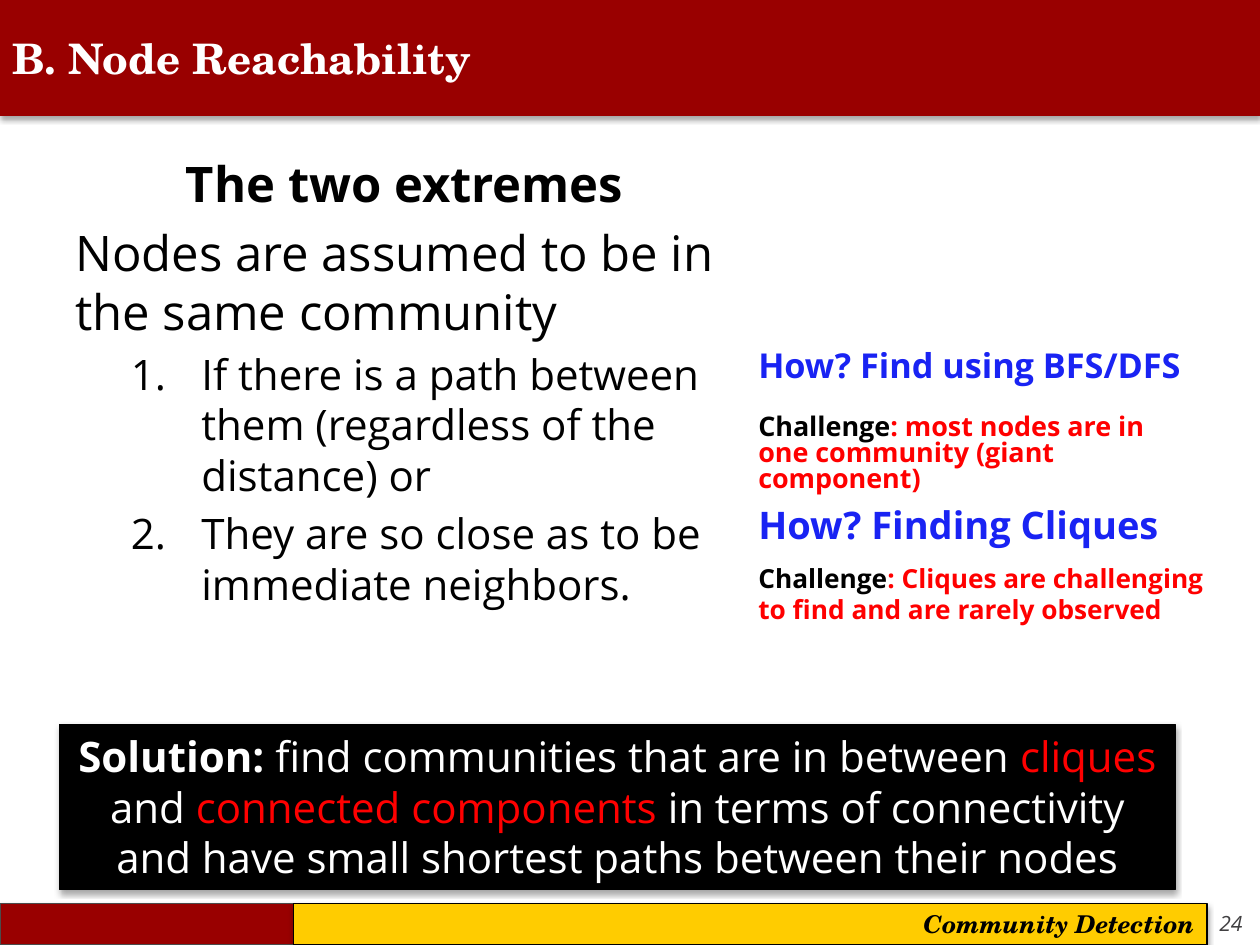
from pptx import Presentation, util as u
from pptx.dml.color import RGBColor
from pptx.enum import shapes, text
from pptx.oxml import parse_xml
from pptx.oxml.ns import nsdecls

PX = 9144  # 100 px to the inch


class Theme:
    sans, serif = "Open Sans", "TeX Gyre Schola"
    black, white, gray = "000000", "FFFFFF", "414042"
    maroon, gold, edge = "990000", "FFCC00", "4B4B4B"
    red, blue = "FF0000", "1923F3"
    head, lead, main, foot, num = 24, 28, 24, 14, 12
    how, clique, note, rare = 19.6, 21.7, 15.4, 15


deck = Presentation()
deck.slide_width, deck.slide_height = 1000 * PX, 750 * PX
slide = deck.slides.add_slide(deck.slide_layouts[6])
mid, right = text.PP_ALIGN.CENTER, text.PP_ALIGN.RIGHT


def write(box, *runs, size, color=Theme.black, bold=False, italic=False,
          face=Theme.sans, align=None, before=None, line=None, number=False):
    """Add a paragraph; each run is (text, changes to the format)."""
    frame = box.text_frame
    frame.word_wrap = True
    para = frame.paragraphs[0]
    if para.runs:
        para = frame.add_paragraph()
    if number:
        props = para._p.get_or_add_pPr()
        props.set("lvl", "1")
        props.set("marL", str(100 * PX))
        props.set("indent", str(-56 * PX))
        props.append(parse_xml(
            f'<a:buFont {nsdecls("a")} typeface="+mj-lt"/>'))
        props.append(parse_xml(
            f'<a:buAutoNum {nsdecls("a")} type="arabicPeriod"/>'))
    para.alignment = align or text.PP_ALIGN.LEFT
    if before:
        para.space_before = u.Pt(before)
    if line:
        para.line_spacing = line
    for words, change in runs:
        run = para.add_run()
        run.text = words
        font = run.font
        font.name, font.size, font.italic = face, u.Pt(size), italic
        font.bold = change.get("bold", bold)
        font.color.rgb = RGBColor.from_string(change.get("color", color))


def bar(x, y, wide, high, fill, edge=None):
    """Draw a filled rectangle with a soft shadow below it."""
    rect = slide.shapes.add_shape(shapes.MSO_SHAPE.RECTANGLE,
                                  x * PX, y * PX, wide * PX, high * PX)
    rect.fill.solid()
    rect.fill.fore_color.rgb = RGBColor.from_string(fill)
    if edge:
        rect.line.color.rgb = RGBColor.from_string(edge)
        rect.line.width = u.Pt(0.75)
    else:
        rect.line.fill.background()
    rect.shadow.inherit = False
    rect._element.spPr.find("{*}effectLst").append(parse_xml(
        f'<a:outerShdw {nsdecls("a")} blurRad="40000" dist="23000" '
        'dir="5400000" rotWithShape="0"><a:srgbClr val="000000">'
        '<a:alpha val="35000"/></a:srgbClr></a:outerShdw>'))
    return rect


# Footer
page = slide.shapes.add_textbox(958 * PX, 718 * PX, 50 * PX, 30 * PX)
write(page, ("24", {}), size=Theme.num, color=Theme.gray, italic=True)
bar(0, 717, 233, 33, Theme.maroon, Theme.edge)
topic = bar(233, 717, 725, 33, Theme.gold, Theme.black)
write(topic, ("Community Detection", {}), size=Theme.foot, bold=True,
      italic=True, face=Theme.serif, align=right)

# Title
title = bar(0, 0, 1000, 92, Theme.maroon)
write(title, ("B. Node Reachability", {}), size=Theme.head,
      color=Theme.white, bold=True, face=Theme.serif)

# The two extremes
body = slide.shapes.add_textbox(50 * PX, 117 * PX, 542 * PX, 450 * PX)
write(body, ("The two extremes", {}), size=Theme.lead, bold=True, align=mid)
write(body, ("Nodes are assumed to be in the same community", {}),
      size=Theme.lead, before=5.6)
for item in ("If there is a path between them (regardless of the distance) or",
             "They are so close as to be immediate neighbors."):
    write(body, (item, {}), size=Theme.main, before=4.8, number=True)

# Methods and their challenges
red = {"color": Theme.red}
blue = {"color": Theme.blue}
notes = (
    (275, 366, Theme.how, 0.8, [("How? Find using BFS/DFS", blue)]),
    (400, 366, Theme.clique, 0.8, [("How? Finding Cliques", blue)]),
    (325, 366, Theme.note, 0.8, [
        ("Challenge", {}),
        (": most nodes are in one community (giant component)", red)]),
    (441, 392, Theme.rare, None, [
        ("Challenge", {}),
        (": Cliques are challenging to find and are rarely observed", red)]),
)
for y, wide, size, line, runs in notes:
    note = slide.shapes.add_textbox(592 * PX, y * PX, wide * PX, 67 * PX)
    write(note, *runs, size=size, bold=True, line=line)

# Solution
answer = bar(47, 575, 886, 131, Theme.black, Theme.black)
answer.text_frame.vertical_anchor = text.MSO_ANCHOR.TOP
write(answer,
      ("Solution:", {"bold": True}),
      (" find communities that are in between ", {}),
      ("cliques", red),
      (" and ", {}),
      ("connected components ", red),
      ("in terms of connectivity and have small shortest paths "
       "between their nodes", {}),
      size=Theme.main, color=Theme.white, align=mid)

deck.save("out.pptx")
